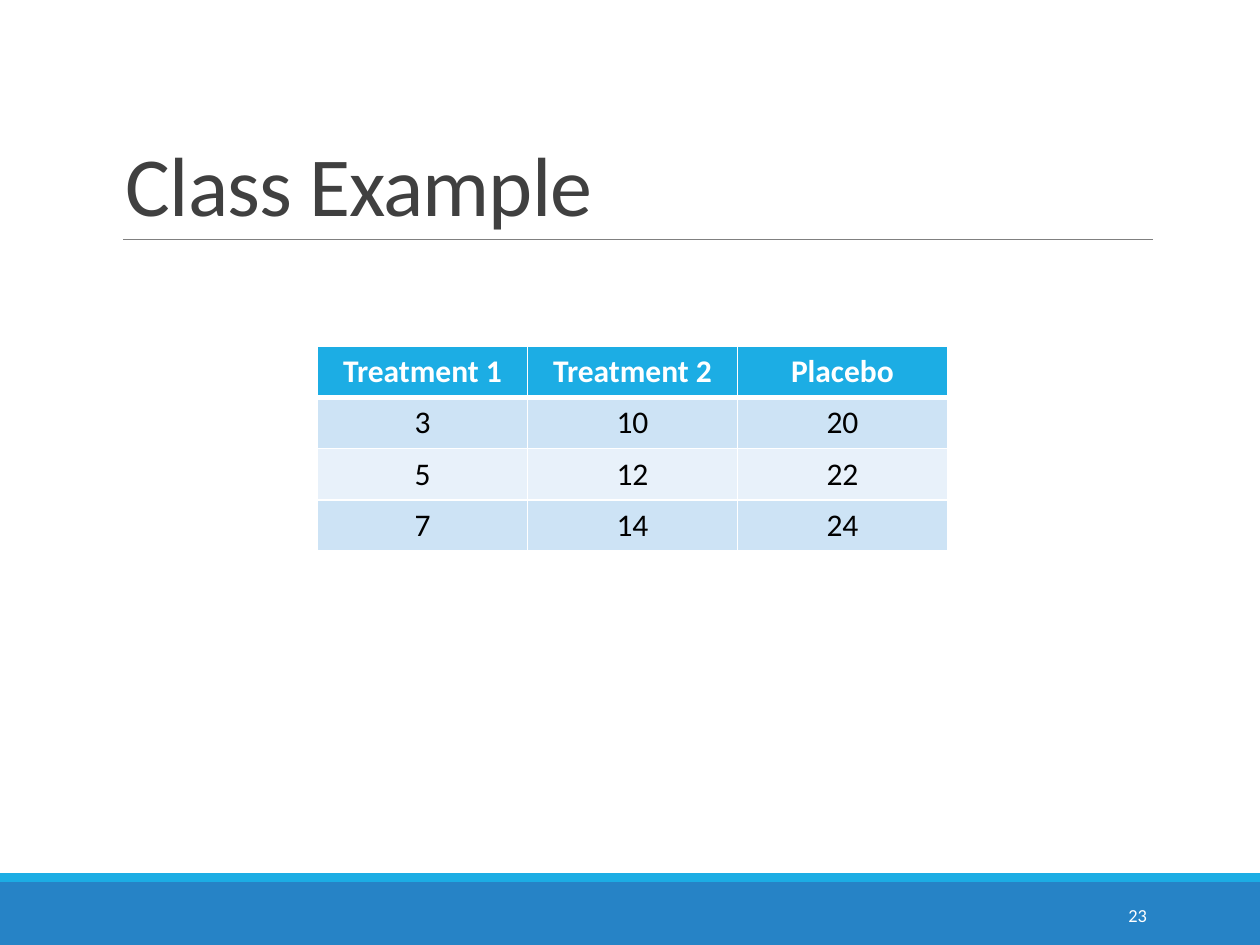
import dataclasses

import lxml.etree
import pptx
import pptx.dml.color
import pptx.enum.shapes
import pptx.enum.text
import pptx.oxml.ns
import pptx.util

Inches = pptx.util.Inches
Pt = pptx.util.Pt
qn = pptx.oxml.ns.qn
ALIGN = pptx.enum.text.PP_ALIGN
ANCHOR = pptx.enum.text.MSO_ANCHOR


@dataclasses.dataclass(frozen=True)
class Theme:
    font: str = "Calibri"
    white: str = "FFFFFF"
    black: str = "000000"
    title: str = "404040"
    rule: str = "808080"
    footer: str = "2683C6"
    accent: str = "1CADE4"
    bands: tuple = ("CDE3F5", "E8F1FA")
    title_size: float = 48
    table_size: float = 18
    number_size: float = 10.5


theme = Theme()


def color(value):
    return pptx.dml.color.RGBColor.from_string(value)


def add_span(para, text, size, ink, bold=False):
    span = para.add_run()
    span.text = text
    span.font.name = theme.font
    span.font.size = Pt(size)
    span.font.bold = bold
    span.font.color.rgb = color(ink)
    return span


deck = pptx.Presentation()
deck.slide_width = Inches(10)
deck.slide_height = Inches(7.5)
page = deck.slides.add_slide(deck.slide_layouts[6])

# Footer bands
for top, height, fill in ((7, 0.5, theme.footer), (6.93, 0.07, theme.accent)):
    band = page.shapes.add_shape(
        pptx.enum.shapes.MSO_SHAPE.RECTANGLE,
        Inches(0), Inches(top), Inches(10), Inches(height))
    band.shadow.inherit = False
    band.fill.solid()
    band.fill.fore_color.rgb = color(fill)
    band.line.fill.background()

# Rule under the title
rule = page.shapes.add_connector(
    pptx.enum.shapes.MSO_CONNECTOR.STRAIGHT,
    Inches(0.98), Inches(1.9), Inches(9.15), Inches(1.9))
rule.line.color.rgb = color(theme.rule)
rule.line.width = Pt(0.5)
lxml.etree.SubElement(rule._element.spPr, qn("a:effectLst"))

# Treatment table
rows = (
    ("Treatment 1", "Treatment 2", "Placebo"),
    ("3", "10", "20"),
    ("5", "12", "22"),
    ("7", "14", "24"),
)
table = page.shapes.add_table(
    len(rows), len(rows[0]),
    Inches(2.52), Inches(2.75), Inches(5), Inches(1.62)).table
for row, values in enumerate(rows):
    header = row == 0
    fill = theme.accent if header else theme.bands[(row - 1) % 2]
    ink = theme.white if header else theme.black
    borders = {"L": 1, "R": 1, "T": 3 if row == 1 else 1, "B": 3 if header else 1}
    for column, value in enumerate(values):
        cell = table.cell(row, column)
        para = cell.text_frame.paragraphs[0]
        para.alignment = ALIGN.CENTER
        add_span(para, value, theme.table_size, ink, bold=header)
        # Borders come before the fill in the cell properties
        properties = cell._tc.get_or_add_tcPr()
        for side, width in borders.items():
            border = lxml.etree.SubElement(
                properties, qn(f"a:ln{side}"), w=str(Pt(width)))
            solid = lxml.etree.SubElement(border, qn("a:solidFill"))
            lxml.etree.SubElement(solid, qn("a:srgbClr"), val=theme.white)
        cell.fill.solid()
        cell.fill.fore_color.rgb = color(fill)

# Title
box = page.shapes.add_textbox(Inches(0.9), Inches(0.31), Inches(8.25), Inches(1.59))
box.text_frame.word_wrap = True
box.text_frame.vertical_anchor = ANCHOR.BOTTOM
para = box.text_frame.paragraphs[0]
para.line_spacing = 0.85
span = add_span(para, "Class Example", theme.title_size, theme.title)
span.font._element.set("spc", "-50")

# Page number
box = page.shapes.add_textbox(Inches(8.12), Inches(7.06), Inches(1.08), Inches(0.4))
box.text_frame.word_wrap = True
box.text_frame.vertical_anchor = ANCHOR.MIDDLE
para = box.text_frame.paragraphs[0]
para.alignment = ALIGN.RIGHT
add_span(para, "23", theme.number_size, theme.white)

deck.save("out.pptx")
